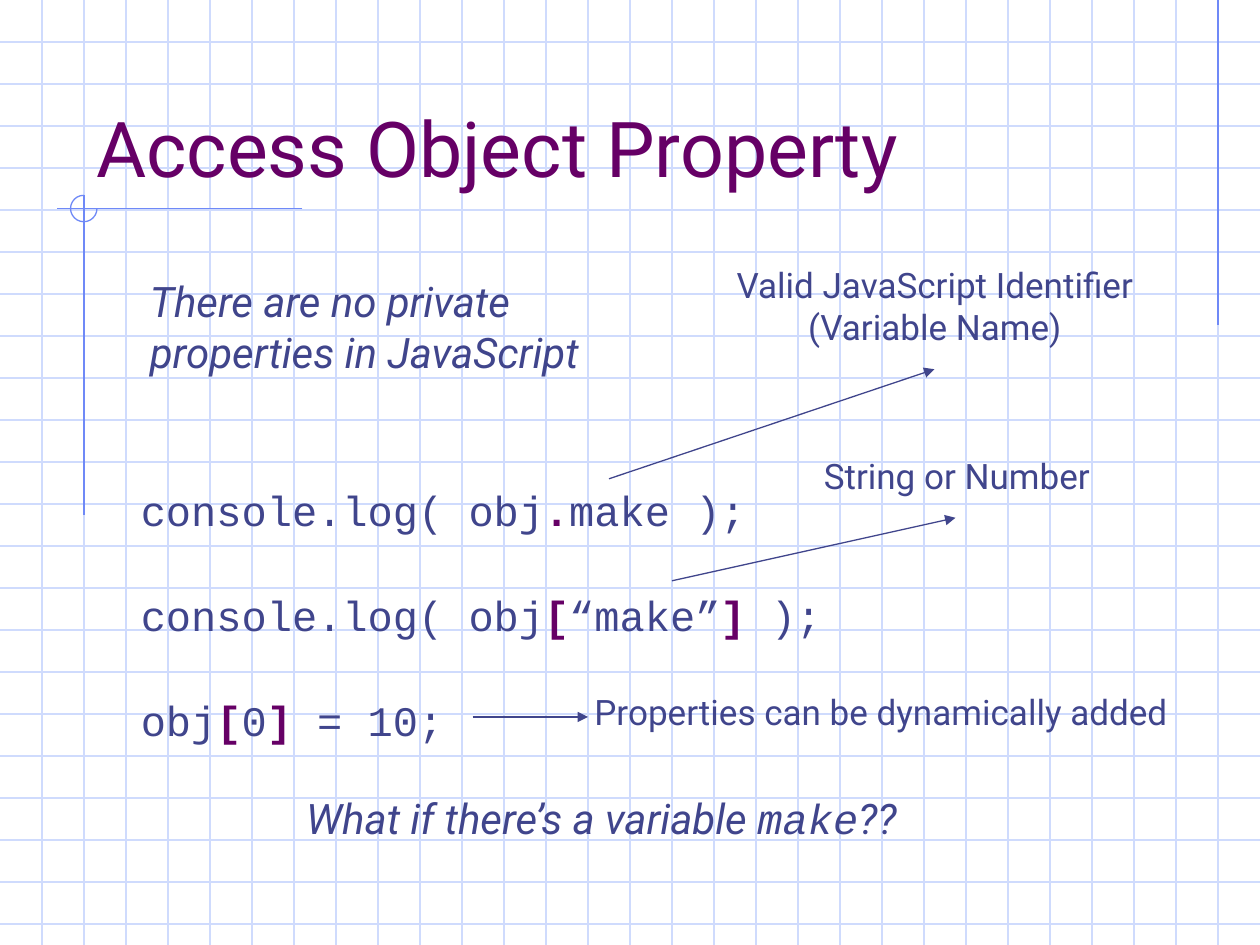
"""Build the slide on accessing object properties in JavaScript."""
from dataclasses import dataclass
from typing import Optional

from lxml.etree import SubElement
from pptx import Presentation
from pptx.dml.color import RGBColor
from pptx.enum.shapes import MSO_CONNECTOR as Connector, MSO_SHAPE as Preset
from pptx.enum.text import MSO_ANCHOR as Anchor, PP_ALIGN as Align
from pptx.oxml.ns import qn
from pptx.slide import Slide
from pptx.util import Pt

GRID_BLUE = RGBColor(0xCF, 0xDB, 0xFD)
ACCENT_BLUE = RGBColor(0x6F, 0x89, 0xF7)
INK = RGBColor(0x40, 0x45, 0x8C)
PURPLE = RGBColor(0x66, 0x00, 0x66)
SANS = "Roboto"
MONO = "Courier New"
WIDTH, HEIGHT, GRID_STEP = 720, 540, 24


@dataclass(frozen=True)
class Span:
    text: str
    font: Optional[str] = None
    color: Optional[RGBColor] = None
    bold: bool = False


@dataclass(frozen=True)
class Line:
    start: tuple[float, float]
    end: tuple[float, float]
    color: RGBColor
    arrow: bool = False


@dataclass(frozen=True)
class Label:
    lines: list[list[Span]]
    box: tuple[float, float, float, float]
    size: float = 20
    align: Align = Align.LEFT
    italic: bool = False


def mark(symbol: str) -> Span:
    """Return a highlighted piece of syntax."""
    return Span(symbol, color=PURPLE, bold=True)


def draw_line(slide: Slide, line: Line) -> None:
    """Draw a thin straight line, with an arrowhead if asked."""
    connector = slide.shapes.add_connector(
        Connector.STRAIGHT, *map(Pt, line.start + line.end))
    connector.line.color.rgb = line.color
    connector.line.width = Pt(0.75)
    if line.arrow:
        SubElement(connector.line._get_or_add_ln(), qn("a:tailEnd"), type="triangle")
    SubElement(connector._element.spPr, qn("a:effectLst"))


def draw_arc(slide: Slide, left: float, top: float, diameter: float) -> None:
    """Draw the three-quarter circle that is open at its upper right."""
    arc = slide.shapes.add_shape(
        Preset.ARC, Pt(left), Pt(top), Pt(diameter), Pt(diameter))
    arc.adjustments[0] = 0
    arc.adjustments[1] = 162
    arc.shadow.inherit = False
    arc.fill.background()
    arc.line.color.rgb = ACCENT_BLUE
    arc.line.width = Pt(0.75)


def add_text(slide: Slide, lines: list[list[Span]], *,
             box: tuple[float, float, float, float], size: float = 20,
             font: str = SANS, color: RGBColor = INK, italic: bool = False,
             align: Align = Align.LEFT, anchor: Anchor = Anchor.TOP,
             gap: float = 0, wrap: bool = False) -> None:
    """Add a text box with one paragraph for each line of spans."""
    frame = slide.shapes.add_textbox(*map(Pt, box)).text_frame
    frame.word_wrap = wrap
    frame.vertical_anchor = anchor
    for index, spans in enumerate(lines):
        paragraph = frame.paragraphs[0] if index == 0 else frame.add_paragraph()
        paragraph.alignment = align
        if index and gap:
            paragraph.space_before = Pt(gap)
        for span in spans:
            run = paragraph.add_run()
            run.text = span.text
            run.font.name = span.font or font
            run.font.size = Pt(size)
            run.font.bold = span.bold
            run.font.italic = italic
            run.font.color.rgb = span.color or color


FRAME_LINES = [
    Line((696, 0), (696, 186), ACCENT_BLUE),
    Line((172.8, 119.3), (32.4, 119.3), ACCENT_BLUE),
    Line((48, 111.6), (48, 294.5), ACCENT_BLUE),
]
ARROWS = [
    Line((348, 273.6), (534, 211), INK, arrow=True),
    Line((384, 331.9), (546, 295.9), INK, arrow=True),
    Line((270, 409.7), (336, 409.7), INK, arrow=True),
]
CODE = [
    [Span("console.log( obj"), mark("."), Span("make );")],
    [Span("console.log( obj"), mark("["), Span("“make”"), mark("]"), Span(" );")],
    [Span("obj"), mark("["), Span("0"), mark("]"), Span(" = 10;")],
]
LABELS = [
    Label([[Span("Valid JavaScript Identifier")], [Span("(Variable Name)")]],
          (409.7, 146.9, 249.1, 55.4), align=Align.CENTER),
    Label([[Span("String or Number")]], (463.7, 256.3, 180, 31.7)),
    Label([[Span("Properties can be dynamically added")]],
          (332.6, 391, 360.7, 31.7)),
    Label([[Span("What if there’s a variable "), Span("make", font=MONO), Span("??")]],
          (167.8, 449.3, 363.6, 36), size=24, italic=True),
    Label([[Span("There are no private")], [Span("properties in JavaScript")]],
          (78.5, 154.1, 267.8, 64.8), size=24, italic=True),
]


def main() -> None:
    """Compose and save the slide."""
    deck = Presentation()
    deck.slide_width, deck.slide_height = Pt(WIDTH), Pt(HEIGHT)
    slide = deck.slides.add_slide(deck.slide_layouts[6])
    rows = [Line((0, y), (WIDTH, y), GRID_BLUE)
            for y in range(GRID_STEP, HEIGHT, GRID_STEP)]
    columns = [Line((x, 0), (x, HEIGHT), GRID_BLUE)
               for x in range(GRID_STEP, WIDTH, GRID_STEP)]
    for line in rows + columns + FRAME_LINES:
        draw_line(slide, line)
    draw_arc(slide, 40.3, 111.6, 15.1)
    add_text(slide, [[Span("Access Object Property")]], box=(48, 24, 612, 90),
             size=44, color=PURPLE, anchor=Anchor.BOTTOM, wrap=True)
    add_text(slide, CODE, box=(73.4, 273.6, 403.2, 151.2), size=24, font=MONO, gap=31)
    for label in LABELS:
        add_text(slide, label.lines, box=label.box, size=label.size,
                 align=label.align, italic=label.italic)
    for arrow in ARROWS:
        draw_line(slide, arrow)
    deck.save("out.pptx")


if __name__ == "__main__":
    main()
